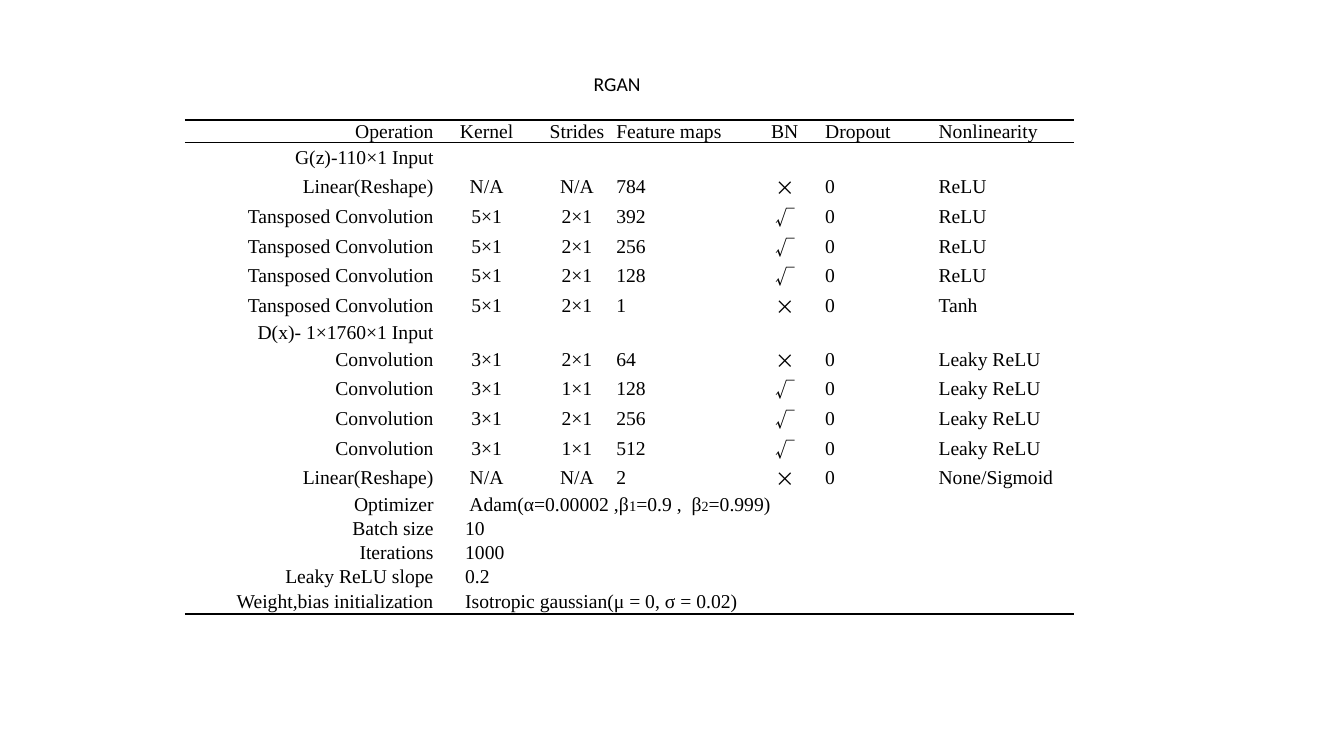
from typing import NamedTuple

from lxml.etree import SubElement
from pptx import Presentation
from pptx.dml.color import RGBColor
from pptx.enum.text import MSO_ANCHOR, MSO_AUTO_SIZE, PP_ALIGN
from pptx.oxml.ns import qn
from pptx.util import Emu, Pt

COLORS = {"ink": "000000"}
SERIF, SANS, SYMBOL = "Times New Roman", "Calibri", "Noto Sans CJK SC"
NO_STYLE = "{2D5ABB26-0587-4C30-8999-92F81FD0307C}"
BODY_SIZE, EMPTY_SIZE = 14, 10
CROSS, CHECK = "×", "√"


def px(n: int) -> Emu:
    """96 px to the inch."""
    return Emu(n * 9525)


class Column(NamedTuple):
    title: str
    width: int
    align: PP_ALIGN


class Layer(NamedTuple):
    operation: str
    kernel: str = ""
    strides: str = ""
    maps: str = ""
    norm: str = ""
    dropout: str = ""
    nonlinearity: str = ""


class Piece(NamedTuple):
    text: str
    size: float = BODY_SIZE


class Setting(NamedTuple):
    name: str
    value: list[Piece]
    indent: int = 29


COLUMNS = [
    Column("Operation", 238, PP_ALIGN.RIGHT),
    Column("Kernel", 99, PP_ALIGN.CENTER),
    Column("Strides", 73, PP_ALIGN.CENTER),
    Column("Feature maps", 124, PP_ALIGN.LEFT),
    Column("BN", 75, PP_ALIGN.CENTER),
    Column("Dropout", 108, PP_ALIGN.LEFT),
    Column("Nonlinearity", 130, PP_ALIGN.LEFT),
]


def deconv(maps: str, norm: str = CHECK, nonlinearity: str = "ReLU") -> Layer:
    return Layer("Tansposed Convolution", "5×1", "2×1", maps, norm, "0", nonlinearity)


def conv(strides: str, maps: str, norm: str = CHECK) -> Layer:
    return Layer("Convolution", "3×1", strides, maps, norm, "0", "Leaky ReLU")


def linear(maps: str, nonlinearity: str) -> Layer:
    return Layer("Linear(Reshape)", "N/A", "N/A", maps, CROSS, "0", nonlinearity)


LAYERS = [
    Layer("G(z)-110×1 Input"),
    linear("784", "ReLU"),
    deconv("392"),
    deconv("256"),
    deconv("128"),
    deconv("1", CROSS, "Tanh"),
    Layer("D(x)- 1×1760×1 Input"),
    conv("2×1", "64", CROSS),
    conv("1×1", "128"),
    conv("2×1", "256"),
    conv("1×1", "512"),
    linear("2", "None/Sigmoid"),
]
SETTINGS = [
    Setting("Optimizer", [Piece("Adam(α=0.00002 ,β"), Piece("1", 10.5),
                          Piece("=0.9 ,  β"), Piece("2", 10), Piece("=0.999)")], 33),
    Setting("Batch size", [Piece("10")]),
    Setting("Iterations", [Piece("1000")]),
    Setting("Leaky ReLU slope", [Piece("0.2")]),
    Setting("Weight,bias initialization", [Piece("Isotropic gaussian(μ = 0, σ = 0.02)")]),
]
ROW_COUNT = 1 + len(LAYERS) + len(SETTINGS)
HEIGHTS = [21, 28] + [23] * (ROW_COUNT - 3) + [24]


def style_run(r, font: str, size: float) -> None:
    r.font.name, r.font.size = font, Pt(size)
    r.font.color.rgb = RGBColor.from_string(COLORS["ink"])
    if font == SYMBOL:
        for tag in ("a:ea", "a:sym"):
            SubElement(r.font._element, qn(tag), typeface=font)


def fill_cell(cell, pieces: list[Piece], align: PP_ALIGN, indent: int = 1) -> None:
    cell.margin_left, cell.margin_right = px(indent), px(1)
    cell.margin_top, cell.margin_bottom = px(1), px(0)
    cell.vertical_anchor = MSO_ANCHOR.MIDDLE
    p = cell.text_frame.paragraphs[0]
    p.alignment = align
    for piece in pieces:
        r = p.add_run()
        r.text = piece.text
        style_run(r, SYMBOL if piece.text in (CROSS, CHECK) else SERIF, piece.size)
    if not pieces:
        SubElement(p._p, qn("a:endParaRPr"), sz=str(EMPTY_SIZE * 100))


def rule_cell(cell, top: float, bottom: float) -> None:
    """Draw the horizontal rules of a cell; a width of 0 means no rule."""
    tc_pr = cell._tc.get_or_add_tcPr()
    for side, width in (("L", 0), ("R", 0), ("T", top), ("B", bottom)):
        ln = SubElement(tc_pr, qn(f"a:ln{side}"), w=str(Pt(width)))
        if width:
            fill = SubElement(ln, qn("a:solidFill"))
            SubElement(fill, qn("a:srgbClr"), val=COLORS["ink"])
        else:
            SubElement(ln, qn("a:noFill"))
    cell.fill.background()


def add_title(s, text: str) -> None:
    tf = s.shapes.add_textbox(px(556), px(64), px(64), px(33)).text_frame
    tf.word_wrap = False
    tf.auto_size = MSO_AUTO_SIZE.SHAPE_TO_FIT_TEXT
    tf.text = text
    style_run(tf.paragraphs[0].runs[0], SANS, BODY_SIZE)


def add_network_table(s) -> None:
    width = sum(c.width for c in COLUMNS)
    table = s.shapes.add_table(ROW_COUNT, len(COLUMNS), px(176), px(114),
                               px(width), px(sum(HEIGHTS))).table
    table.first_row = table.horz_banding = False
    table._tbl.tblPr.find(qn("a:tableStyleId")).text = NO_STYLE
    for col, column in zip(table.columns, COLUMNS):
        col.width = px(column.width)
    for row, height in zip(table.rows, HEIGHTS):
        row.height = px(height)

    # Header and layers
    header = Layer(*(c.title for c in COLUMNS))
    for i, layer in enumerate([header] + LAYERS):
        for j, text in enumerate(layer):
            fill_cell(table.cell(i, j), [Piece(text)] if text else [], COLUMNS[j].align)

    # Training settings, each value spanning the remaining columns
    for i, setting in enumerate(SETTINGS, 1 + len(LAYERS)):
        fill_cell(table.cell(i, 0), [Piece(setting.name)], PP_ALIGN.RIGHT)
        value = table.cell(i, 1)
        value.merge(table.cell(i, len(COLUMNS) - 1))
        fill_cell(value, setting.value, PP_ALIGN.LEFT, setting.indent)

    # Rules above and below the header and under the last row
    rules = {0: (1.5, 1), 1: (1, 0), ROW_COUNT - 1: (0, 1.5)}
    for i, row in enumerate(table.rows):
        for cell in row.cells:
            rule_cell(cell, *rules.get(i, (0, 0)))


def main() -> None:
    prs = Presentation()
    prs.slide_width, prs.slide_height = px(1280), px(720)
    s = prs.slides.add_slide(prs.slide_layouts[6])
    add_network_table(s)
    add_title(s, "RGAN")
    prs.save("out.pptx")


if __name__ == "__main__":
    main()
